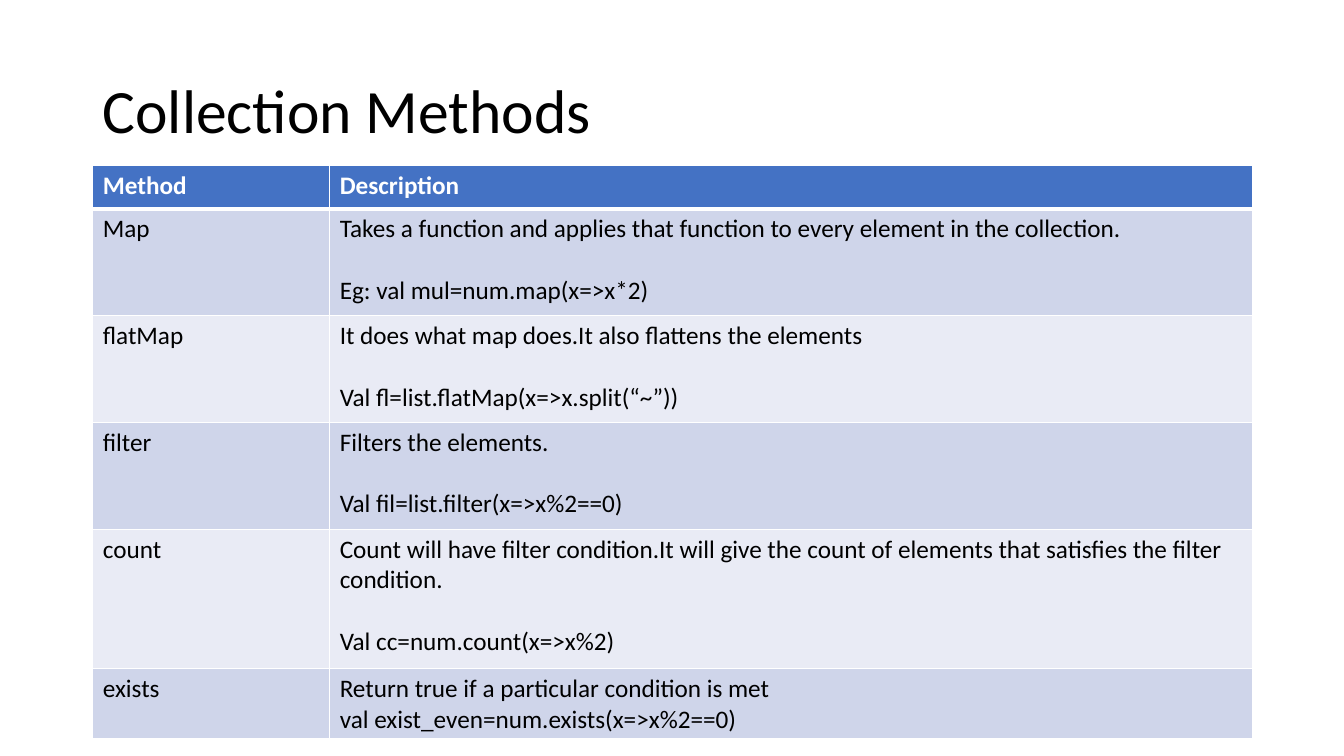
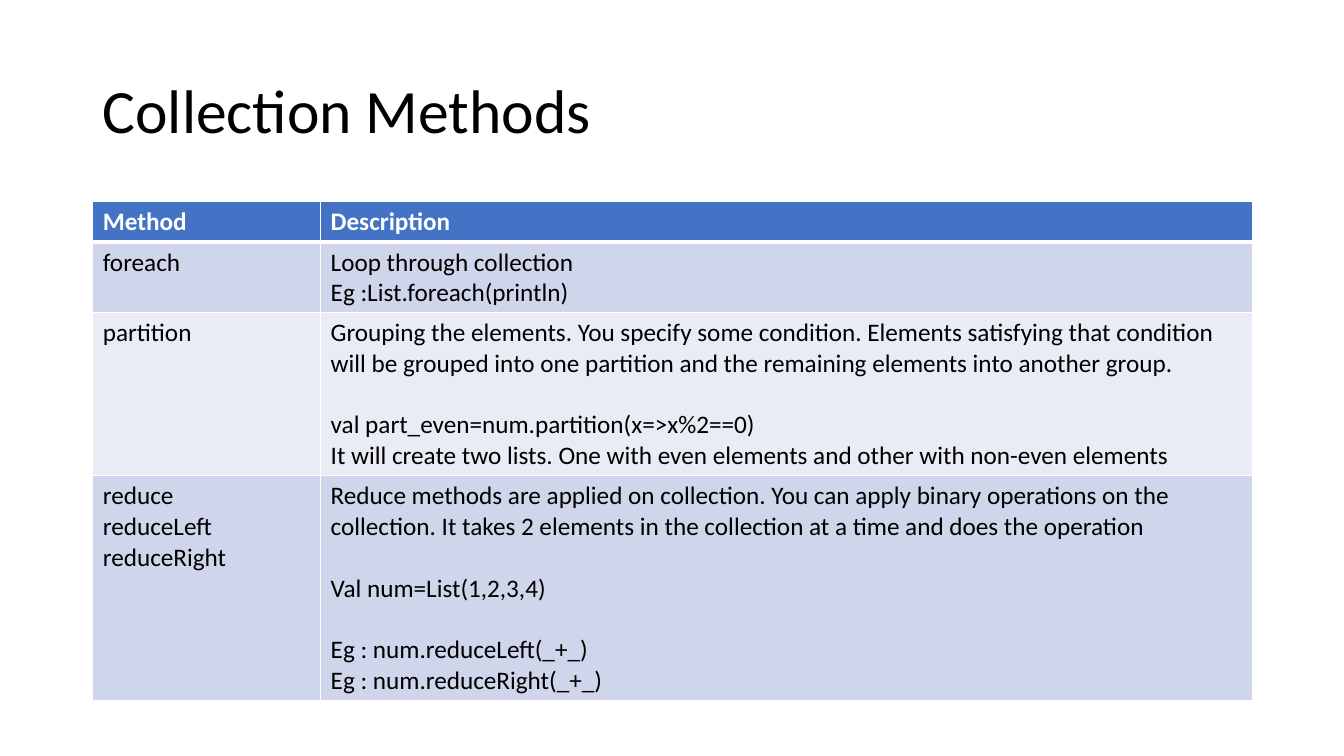
from lxml.etree import SubElement
from pptx import Presentation
from pptx.dml.color import RGBColor
from pptx.enum.text import MSO_ANCHOR
from pptx.oxml.ns import qn
from pptx.util import Inches, Pt

FONT = "Calibri"
BLACK, WHITE = "000000", "FFFFFF"
HEADER_FILL = "4472C4"
BAND_FILLS = ("CFD5EA", "E9EBF5")
TITLE_SIZE, BODY_SIZE = 44, 18
BLOCK_GAP = 22  # points, one line of body text
LEFT, WIDTH = 0.92, 11.5
HEADINGS = ("Method", "Description")

# Each row: height, method, description. A double line break starts a new block.
SLIDES = [
    {
        "title": "Collection Methods",
        "top": 1.64,
        "method_width": 2.35,
        "header_height": 0.43,
        "rows": [
            (1.06, "Map",
             "Takes a function and applies that function to every element in the collection.\n\n"
             "Eg: val mul=num.map(x=>x*2)"),
            (1.06, "flatMap",
             "It does what map does.It also flattens the elements\n\n"
             "Val fl=list.flatMap(x=>x.split(“~”))"),
            (1.06, "filter",
             "Filters the elements.\n\n"
             "Val fil=list.filter(x=>x%2==0)"),
            (1.38, "count",
             "Count will have filter condition.It will give the count of elements "
             "that satisfies the filter condition.\n\n"
             "Val cc=num.count(x=>x%2)"),
            (0.7, "exists",
             "Return true if a particular condition is met\n"
             "val exist_even=num.exists(x=>x%2==0)"),
        ],
    },
    {
        "title": "Collection Methods",
        "top": 2,
        "method_width": 2.26,
        "header_height": 0.4,
        "rows": [
            (0.7, "foreach",
             "Loop through collection\n"
             "Eg :List.foreach(println)"),
            (1.62, "partition",
             "Grouping the elements. You specify some condition. Elements satisfying that "
             "condition will be grouped into one partition and the remaining elements into "
             "another group.\n\n"
             "val part_even=num.partition(x=>x%2==0)\n"
             "It will create two lists. One with even elements and other with non-even elements"),
            (2.23, "reduce\nreduceLeft\nreduceRight",
             "Reduce methods are applied on collection. You can apply binary operations on the "
             "collection. It takes 2 elements in the collection at a time and does the operation\n\n"
             "Val num=List(1,2,3,4)\n\n"
             "Eg : num.reduceLeft(_+_)\n"
             "Eg : num.reduceRight(_+_)"),
        ],
    },
]


def rgb(color):
    return RGBColor.from_string(color)


def add_run(p, text, size, color, bold=False):
    r = p.add_run()
    r.text = text
    r.font.name = FONT
    r.font.size = Pt(size)
    r.font.bold = bold
    r.font.color.rgb = rgb(color)


def add_title(slide, text):
    box = slide.shapes.add_textbox(Inches(LEFT), Inches(0.4), Inches(WIDTH), Inches(1.45))
    tf = box.text_frame
    tf.word_wrap = True
    tf.vertical_anchor = MSO_ANCHOR.MIDDLE
    p = tf.paragraphs[0]
    p.line_spacing = 0.9
    add_run(p, text, TITLE_SIZE, BLACK)


def set_borders(cell, top, bottom):
    """Draw white cell borders; top and bottom are widths in points."""
    tc_pr = cell._tc.get_or_add_tcPr()
    for side, width in (("L", 1), ("R", 1), ("T", top), ("B", bottom)):
        ln = SubElement(tc_pr, qn(f"a:ln{side}"), w=str(Pt(width)))
        fill = SubElement(ln, qn("a:solidFill"))
        SubElement(fill, qn("a:srgbClr"), val=WHITE)


def fill_text(tf, text, color, bold):
    """Write one paragraph per line, with a gap before each later block."""
    p = None
    for block in text.split("\n\n"):
        for i, line in enumerate(block.split("\n")):
            is_first = p is None
            p = tf.paragraphs[0] if is_first else tf.add_paragraph()
            if i == 0 and not is_first:
                p.space_before = Pt(BLOCK_GAP)
            add_run(p, line, BODY_SIZE, color, bold)


def add_method_table(slide, content):
    rows = [(content["header_height"], *HEADINGS), *content["rows"]]
    height = sum(row[0] for row in rows)
    table = slide.shapes.add_table(len(rows), len(HEADINGS), Inches(LEFT), Inches(content["top"]),
                                   Inches(WIDTH), Inches(height)).table
    method_width = content["method_width"]
    for column, width in zip(table.columns, (method_width, WIDTH - method_width)):
        column.width = Inches(width)

    for i, (row_height, *texts) in enumerate(rows):
        table.rows[i].height = Inches(row_height)
        is_header = i == 0
        for j, text in enumerate(texts):
            cell = table.cell(i, j)
            set_borders(cell, top=3 if i == 1 else 1, bottom=3 if is_header else 1)
            cell.fill.solid()
            cell.fill.fore_color.rgb = rgb(HEADER_FILL if is_header else BAND_FILLS[(i - 1) % 2])
            fill_text(cell.text_frame, text, WHITE if is_header else BLACK, is_header)


def main():
    prs = Presentation()
    prs.slide_width, prs.slide_height = Inches(13.33), Inches(7.5)
    for content in SLIDES:
        slide = prs.slides.add_slide(prs.slide_layouts[6])
        add_title(slide, content["title"])
        add_method_table(slide, content)
    prs.save("out.pptx")


if __name__ == "__main__":
    main()
